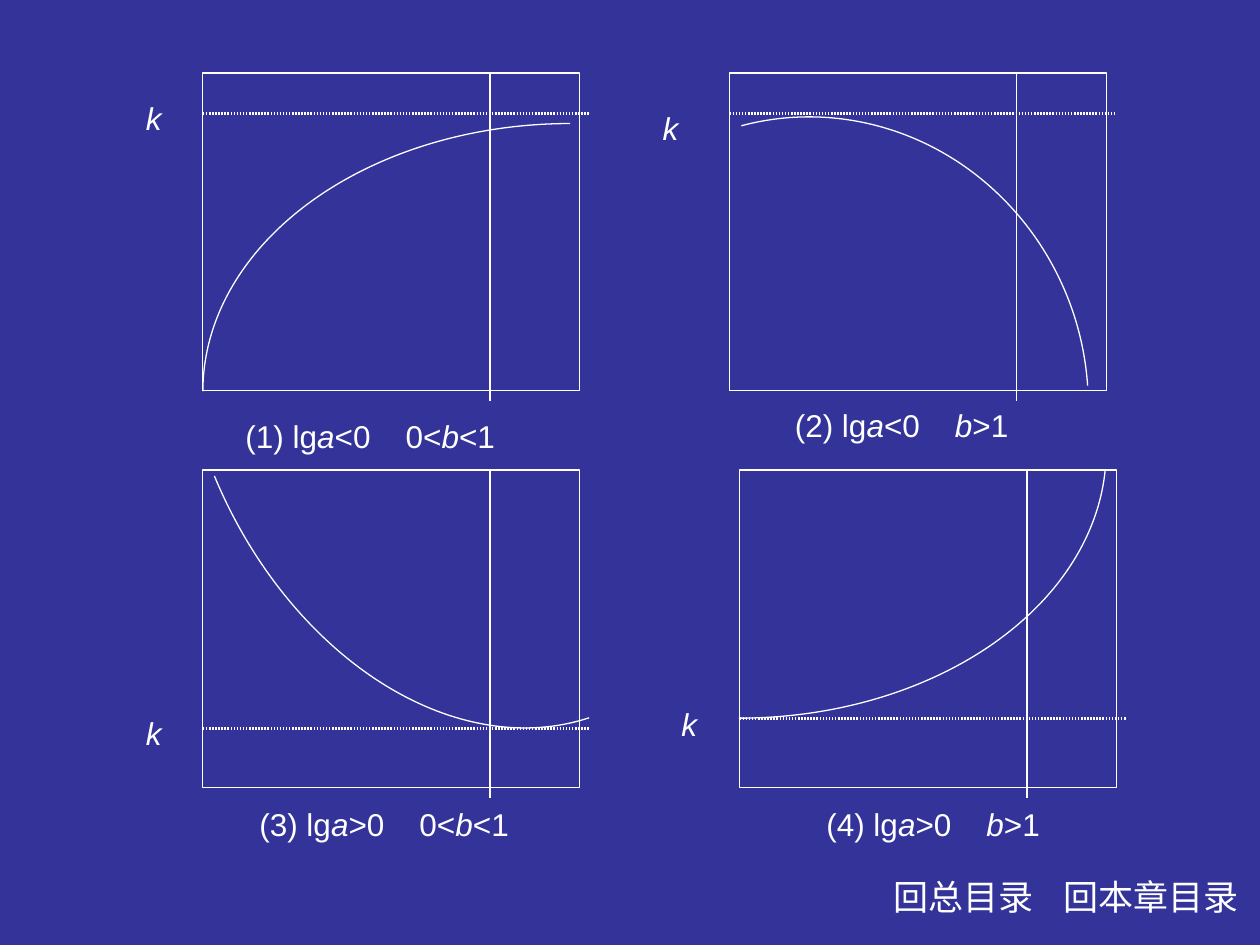
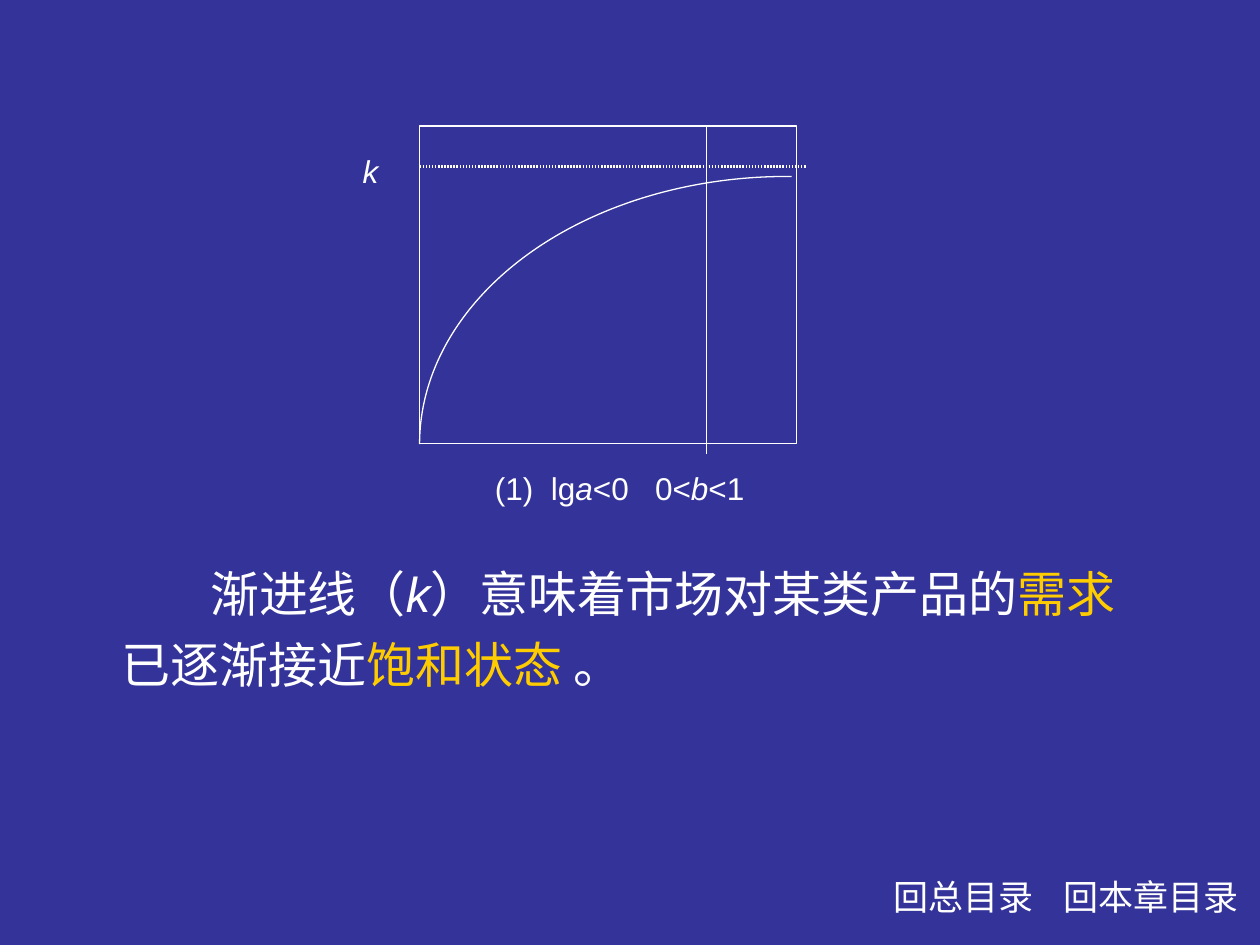
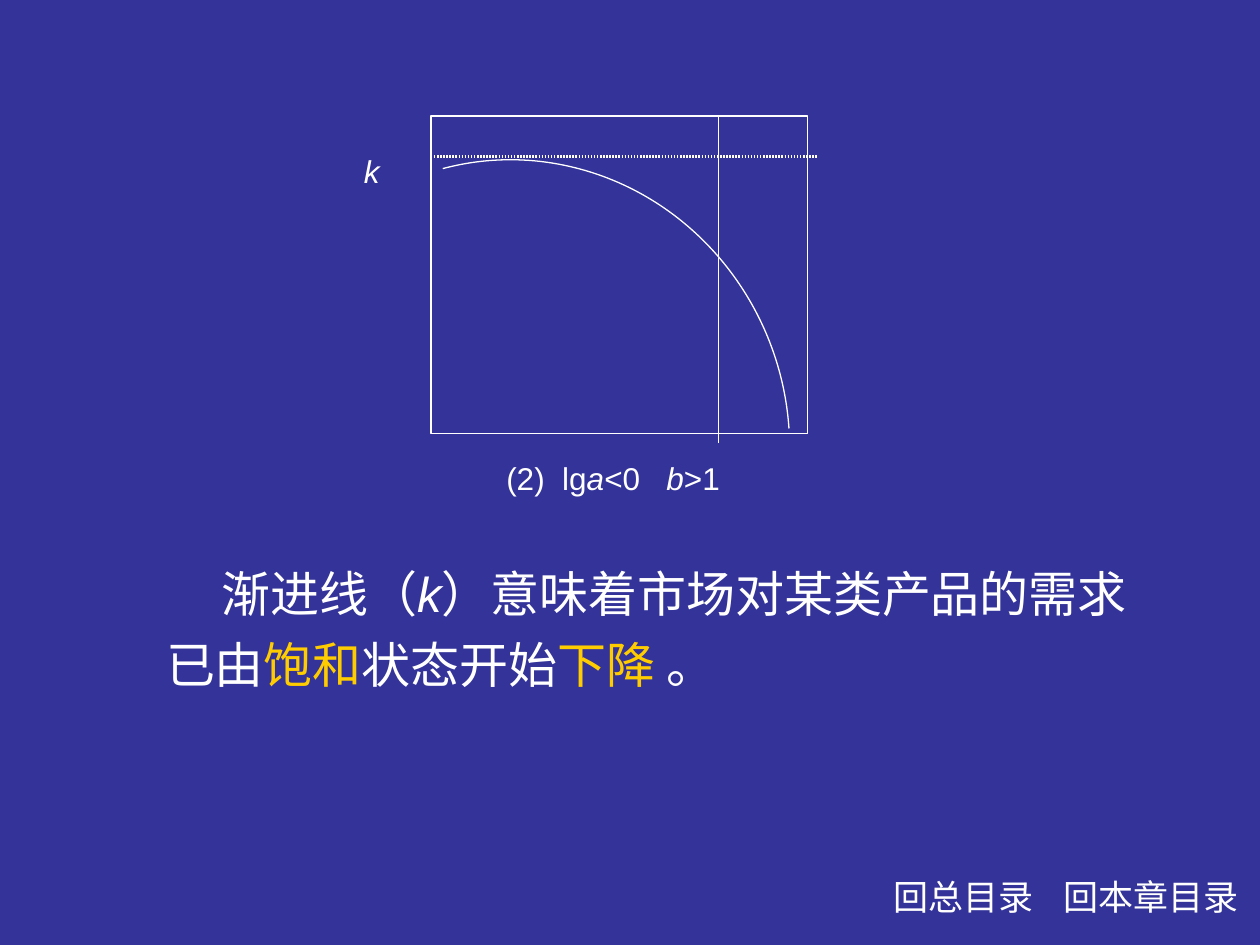
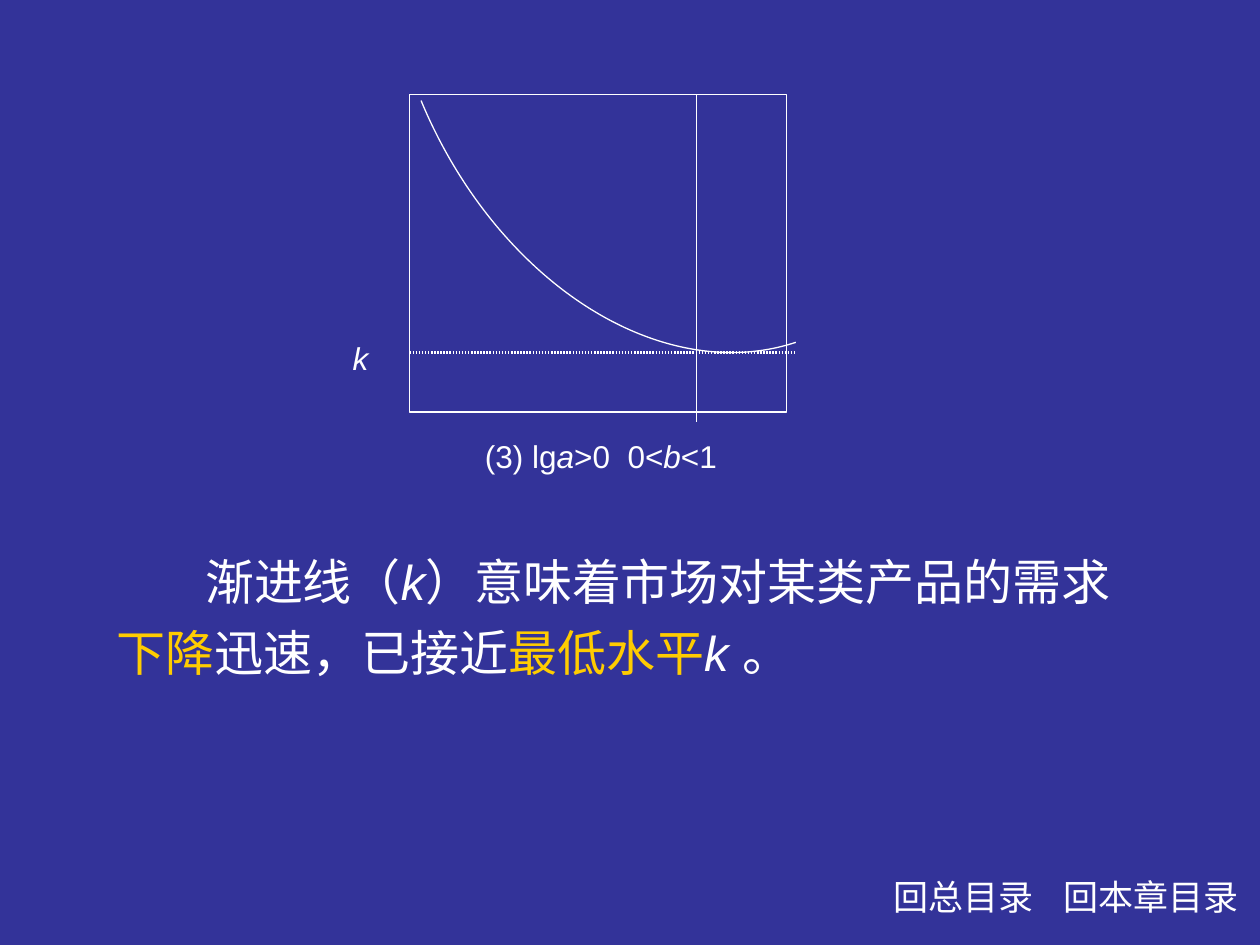
from lxml import etree
from pptx import Presentation
from pptx.dml.color import RGBColor
from pptx.enum.shapes import MSO_CONNECTOR, MSO_SHAPE
from pptx.enum.text import PP_ALIGN
from pptx.oxml.ns import qn
from pptx.util import Inches, Pt

STRAIGHT = MSO_CONNECTOR.STRAIGHT
RECTANGLE, ARC = MSO_SHAPE.RECTANGLE, MSO_SHAPE.ARC
LEFT, CENTER = PP_ALIGN.LEFT, PP_ALIGN.CENTER

NAVY, WHITE, GOLD = "333399", "FFFFFF", "FFCC00"
PLOT_WIDTH, PLOT_HEIGHT = 2.99, 2.52
ASYMPTOTE_LENGTH = 3.07
MARKER_X, MARKER_LENGTH = 2.28, 2.6
ADJUSTMENT_PER_DEGREE = 0.6

LABEL_FONT = {"name": "Arial", "size": Pt(18)}
BODY_FONT = {"name": "Arial", "size": Pt(28)}
FOOTER_FONT = {"name": "Times New Roman", "size": Pt(20)}
PLAIN, ITALIC, KEYWORD = {}, {"italic": True}, {"color": GOLD}

RISING = {
    "ellipse": (0, 0.4, 5.83, 4.25), "rotation": 180, "angles": (0, 90),
    "asymptote": 0.32, "k_offset": (-0.55, -0.16),
}
FALLING = {
    "ellipse": (-1.57, 0.43, 4.5, 4.32), "rotation": 253.3, "angles": (1.6, 103.8),
    "asymptote": 0.32, "k_offset": (-0.63, -0.08),
}
SINKING = {
    "ellipse": (-0.86, -2.89, 5.83, 4.25), "rotation": 67.5, "angles": (2.2, 90),
    "asymptote": 2.05, "k_offset": (-0.55, -0.16),
}
CLIMBING = {
    "ellipse": (-2.92, -2.28, 5.83, 4.25), "rotation": 0, "angles": (3, 90),
    "asymptote": 1.97, "k_offset": (-0.56, -0.15),
}


def rgb(hex_color):
    """Turn a hex string into a colour."""
    return RGBColor.from_string(hex_color)


def style_line(line, width=0.75):
    """Give an outline the shared colour and a width in points."""
    line.color.rgb = rgb(WHITE)
    line.width = Pt(width)


def add_rule(slide, start, end, width=0.75):
    """Draw a straight line and return it."""
    rule = slide.shapes.add_connector(
        STRAIGHT, *(Inches(value) for value in (*start, *end)))
    style_line(rule.line, width)
    etree.SubElement(rule._element.spPr, qn("a:effectLst"))
    return rule


def add_asymptote(slide, left, level):
    """Draw the finely dotted level line."""
    asymptote = add_rule(slide, (left, level), (left + ASYMPTOTE_LENGTH, level), 1.75)
    dashes = etree.Element(qn("a:custDash"))
    etree.SubElement(dashes, qn("a:ds"), d="50000", sp="50000")
    outline = asymptote._element.spPr.find(qn("a:ln"))
    outline.find(qn("a:solidFill")).addnext(dashes)


def add_outline(slide, preset, left, top, width, height):
    """Add an unfilled preset shape with the shared outline."""
    shape = slide.shapes.add_shape(
        preset, *(Inches(value) for value in (left, top, width, height)))
    shape.fill.background()
    shape.shadow.inherit = False
    style_line(shape.line)
    return shape


def add_runs(paragraph, runs, base_font):
    """Append formatted runs to a paragraph."""
    for text, emphasis in runs:
        run = paragraph.add_run()
        run.text = text
        formats = {"color": WHITE, **base_font, **emphasis}
        run.font.color.rgb = rgb(formats.pop("color"))
        if "tracking" in formats:
            run._r.get_or_add_rPr().set("spc", str(formats.pop("tracking")))
        for attribute, value in formats.items():
            setattr(run.font, attribute, value)


def add_text(slide, left, top, width, height, base_font, paragraphs, side_inset=0.1):
    """Add a wrapping text box; paragraphs are (runs, indent, formats)."""
    box = slide.shapes.add_textbox(
        *(Inches(value) for value in (left, top, width, height)))
    frame = box.text_frame
    frame.word_wrap = True
    frame.margin_left = Inches(side_inset)
    frame.margin_right = 0
    for index, (runs, indent, formats) in enumerate(paragraphs):
        paragraph = frame.add_paragraph() if index else frame.paragraphs[0]
        properties = paragraph._p.get_or_add_pPr()
        properties.set("marL", "0")
        properties.set("indent", str(Inches(indent)))
        for attribute, value in formats.items():
            setattr(paragraph, attribute, value)
        add_runs(paragraph, runs, base_font)


def wide_space(widths):
    """Return one space stretched to several space widths of a label."""
    return " ", {"tracking": (widths - 1) * 500}


def add_curve(slide, left, top, trend):
    """Draw the trend as an elliptical arc placed relative to its plot."""
    x, y, width, height = trend["ellipse"]
    curve = add_outline(slide, ARC, left + x, top + y, width, height)
    curve.rotation = trend["rotation"]
    for index, angle in enumerate(trend["angles"]):
        curve.adjustments[index] = angle * ADJUSTMENT_PER_DEGREE


def add_plot(slide, left, top, trend, number, sign, b_range,
             caption_offset=(0.5, 2.67), number_gap=1, range_gap=4):
    """Draw a framed growth curve with its asymptote, k label and caption."""
    add_outline(slide, RECTANGLE, left, top, PLOT_WIDTH, PLOT_HEIGHT)
    level = top + trend["asymptote"]
    add_asymptote(slide, left, level)
    marker = left + MARKER_X
    add_rule(slide, (marker, top), (marker, top + MARKER_LENGTH))
    add_curve(slide, left, top, trend)

    k_x, k_y = trend["k_offset"]
    add_text(slide, left + k_x, level + k_y, 0.31, 0.4,
             LABEL_FONT, [([("k", ITALIC)], 0, {})])

    before_b, after_b = b_range
    caption = [(f"({number})", PLAIN), wide_space(number_gap), ("lg", PLAIN),
               ("a", ITALIC), (f"{sign}0", PLAIN), wide_space(range_gap)]
    if before_b:
        caption.append((before_b, PLAIN))
    caption += [("b", ITALIC), (after_b, PLAIN)]
    caption_x, caption_y = caption_offset
    add_text(slide, left + caption_x, top + caption_y, 2.2, 0.4,
             LABEL_FONT, [(caption, 0, {})])


def add_explanation(slide, left, top, width, indents, *lines):
    """Add the two-line explanation below a plot."""
    spacings = ({}, {"space_before": Pt(7)})
    add_text(slide, left, top, width, 1.13, BODY_FONT, list(zip(lines, indents, spacings)))


def add_footer(slide):
    """Add the two contents labels at the bottom right."""
    for label, left, width, alignment in (
            ("回总目录", 6.94, 1.42, CENTER), ("回本章目录", 8.44, 1.46, LEFT)):
        layout = {"alignment": alignment, "line_spacing": 0.9}
        add_text(slide, left, 6.94, width, 0.4, FOOTER_FONT,
                 [([(label, PLAIN)], 0, layout)], side_inset=0)


def main():
    """Build the four slides and save them."""
    deck = Presentation()
    deck.slide_width, deck.slide_height = Inches(10), Inches(7.5)
    background = deck.slide_master.background.fill
    background.solid()
    background.fore_color.rgb = rgb(NAVY)
    overview, saturating, declining, bottoming = (
        deck.slides.add_slide(deck.slide_layouts[6]) for _ in range(4))

    below_one, above_one = ("0<", "<1"), ("", ">1")
    add_plot(overview, 1.61, 0.58, RISING, 1, "<", below_one, (0.24, 2.68))
    add_plot(overview, 5.79, 0.58, FALLING, 2, "<", above_one, (0.42, 2.59))
    add_plot(overview, 1.61, 3.73, SINKING, 3, ">", below_one, (0.35, 2.61))
    add_plot(overview, 5.87, 3.73, CLIMBING, 4, ">", above_one, (0.59, 2.61))

    caption_gaps = {"number_gap": 2, "range_gap": 3}
    opening = [("渐进线（", PLAIN), ("k", ITALIC)]

    saturated = {**RISING, "angles": (0, 91)}
    add_plot(saturating, 3.33, 1, saturated, 1, "<", below_one, **caption_gaps)
    add_explanation(
        saturating, 0.61, 4.42, 8.53, (0.96, 0.26),
        opening + [("）意味着市场对某类产品的", PLAIN), ("需求", KEYWORD)],
        [("已逐渐接近", PLAIN), ("饱和状态", KEYWORD), (" 。", PLAIN)])

    demand = opening + [("）意味着市场对某类产品的需求", PLAIN)]
    add_plot(declining, 3.42, 0.92, FALLING, 2, "<", above_one, **caption_gaps)
    add_explanation(
        declining, 1.22, 4.42, 8, (0.44, 0), demand,
        [("已由", PLAIN), ("饱和", KEYWORD), ("状态开始", PLAIN),
         ("下降", KEYWORD), (" 。", PLAIN)])

    add_plot(bottoming, 3.25, 0.75, SINKING, 3, ">", below_one, range_gap=2)
    add_explanation(
        bottoming, 0.83, 4.33, 8.33, (0.7, 0), demand,
        [("下降", KEYWORD), ("迅速，已接近", PLAIN), ("最低水平", KEYWORD),
         ("k ", ITALIC), ("。", PLAIN)])

    for slide in deck.slides:
        add_footer(slide)
    deck.save("out.pptx")


if __name__ == "__main__":
    main()
